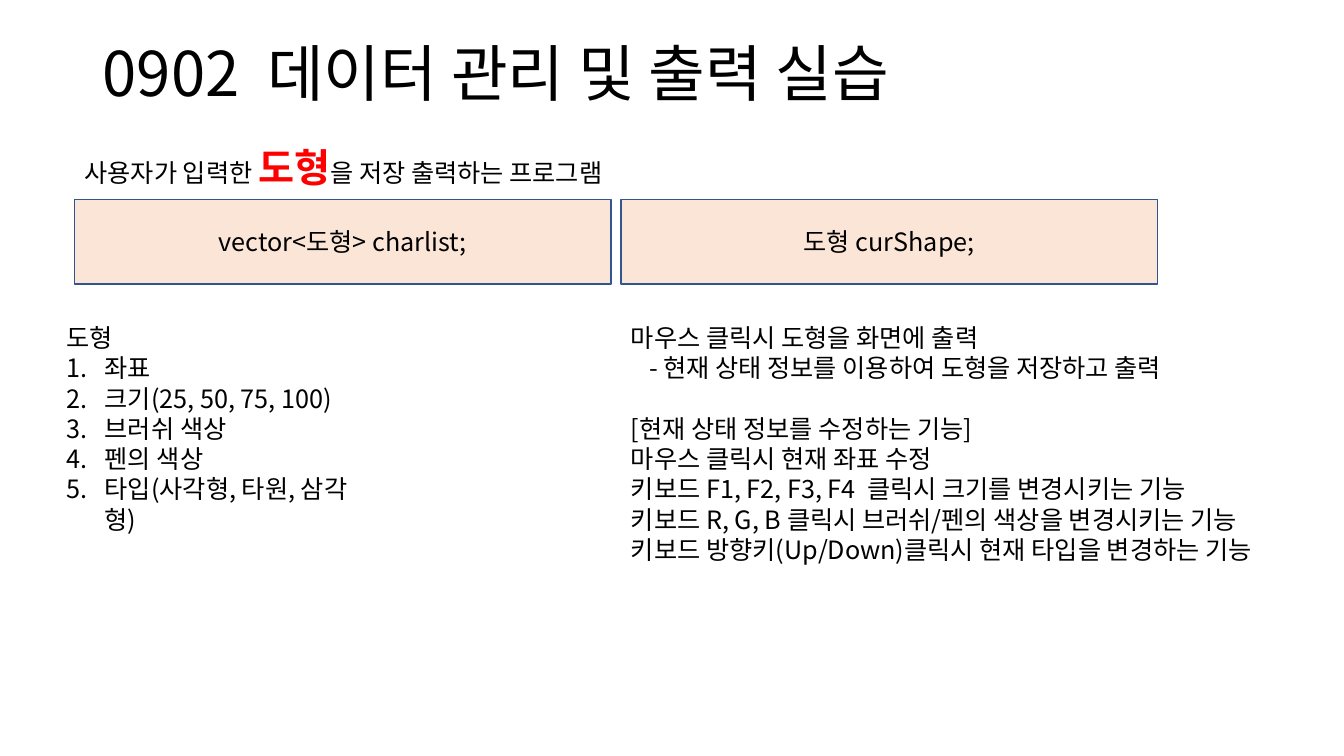
from lxml.etree import SubElement
from pptx import Presentation
from pptx.dml.color import RGBColor
from pptx.enum.shapes import MSO_SHAPE as SHAPE
from pptx.enum.text import MSO_ANCHOR as ANCHOR, PP_ALIGN as ALIGN
from pptx.oxml.ns import qn
from pptx.util import Inches, Pt

BLACK = RGBColor(0x00, 0x00, 0x00)
RED = RGBColor(0xFF, 0x00, 0x00)
PEACH = RGBColor(0xFB, 0xE5, 0xD6)
NAVY = RGBColor(0x32, 0x54, 0x91)
FONT = "Noto Sans CJK KR"
LINE_PITCH = Pt(21.6)

prs = Presentation()
prs.slide_width, prs.slide_height = Inches(13.33), Inches(7.5)
COL, ROW = prs.slide_width / 72, prs.slide_height / 50


def cells(x, y, w, h):
    """Turn a box in grid columns and rows into slide lengths."""
    return int(x * COL), int(y * ROW), int(w * COL), int(h * ROW)


def style(r, size=18, color=BLACK, bold=False):
    """Set the font of one run for Latin and Korean text."""
    r.font.name, r.font.size, r.font.bold = FONT, Pt(size), bold
    r.font.color.rgb = color
    SubElement(r.font._element, qn("a:ea"), typeface=FONT)


def add_text(s, box, lines, size=18):
    """Add a wrapped text box with one paragraph per line."""
    tf = s.shapes.add_textbox(*cells(*box)).text_frame
    tf.word_wrap = True
    tf.text = "\n".join(lines)
    for p in tf.paragraphs:
        for r in p.runs:
            style(r, size)
    return tf


def indent(p, left, hanging=0):
    """Indent a paragraph, with a hanging first line, and return its properties."""
    pPr = p._p.get_or_add_pPr()
    pPr.set("marL", str(Inches(left)))
    pPr.set("indent", str(-Inches(hanging)))
    return pPr


def add_title(s, box):
    """Add the slide title."""
    tf = add_text(s, box, ["0902  데이터 관리 및 출력 실습"], 44)
    tf.vertical_anchor = ANCHOR.MIDDLE
    tf.paragraphs[0].line_spacing = 0.9


def add_summary(s, box):
    """Add the program summary with its highlighted word."""
    p = add_text(s, box, ["사용자가 입력한 "]).paragraphs[0]
    for text, size, color, bold in (("도형", 28, RED, True),
                                    ("을 저장 출력하는 프로그램", 18, BLACK, False)):
        r = p.add_run()
        r.text = text
        style(r, size, color, bold)


def add_variables(s, box, declarations, gap=0.54):
    """Share the box equally between the declaration panels."""
    x, y, w, h = box
    n = len(declarations)
    panel_w = (w - gap * (n - 1)) / n
    for i, text in enumerate(declarations):
        sp = s.shapes.add_shape(SHAPE.RECTANGLE, *cells(x + i * (panel_w + gap), y, panel_w, h))
        sp.shadow.inherit = False
        sp.fill.solid()
        sp.fill.fore_color.rgb = PEACH
        sp.line.color.rgb, sp.line.width = NAVY, Pt(1)
        tf = sp.text_frame
        tf.text, tf.vertical_anchor = text, ANCHOR.MIDDLE
        p = tf.paragraphs[0]
        p.alignment = ALIGN.CENTER
        style(p.runs[0])


def add_fields(s, box):
    """Add the numbered list of shape fields under its heading."""
    tf = add_text(s, box, ["도형", "좌표", "크기(25, 50, 75, 100)", "브러쉬 색상",
                           "펜의 색상", "타입(사각형, 타원, 삼각형)"])
    tf.margin_right = Inches(0.4)
    for p in tf.paragraphs[1:]:
        pPr = indent(p, 0.38, 0.38)
        SubElement(pPr, qn("a:buFont"), typeface="+mj-lt")
        SubElement(pPr, qn("a:buAutoNum"), type="arabicPeriod")


def add_controls(s, box):
    """Add the mouse and keyboard functions."""
    tf = add_text(s, box, [
        "마우스 클릭시 도형을 화면에 출력",
        "- 현재 상태 정보를 이용하여 도형을 저장하고 출력",
        "[현재 상태 정보를 수정하는 기능]",
        "마우스 클릭시 현재 좌표 수정",
        "키보드 F1, F2, F3, F4  클릭시 크기를 변경시키는 기능",
        "키보드 R, G, B 클릭시 브러쉬/펜의 색상을 변경시키는 기능",
        "키보드 방향키(Up/Down)클릭시 현재 타입을 변경하는 기능",
    ])
    indent(tf.paragraphs[1], 0.18)
    tf.paragraphs[2].space_before = LINE_PITCH


def build_slide():
    """Lay out the regions on a blank slide."""
    s = prs.slides.add_slide(prs.slide_layouts[6])
    add_title(s, (4.97, 2.07, 62.1, 6))
    add_summary(s, (4, 9.13, 32.3, 3.8))
    add_variables(s, (4, 13.2, 58, 5.6), ["vector<도형> charlist;", "도형 curShape;"])
    add_fields(s, (3.03, 21, 19.17, 12.8))
    add_controls(s, (33.27, 21, 37.48, 16.8))


build_slide()
prs.save("out.pptx")
